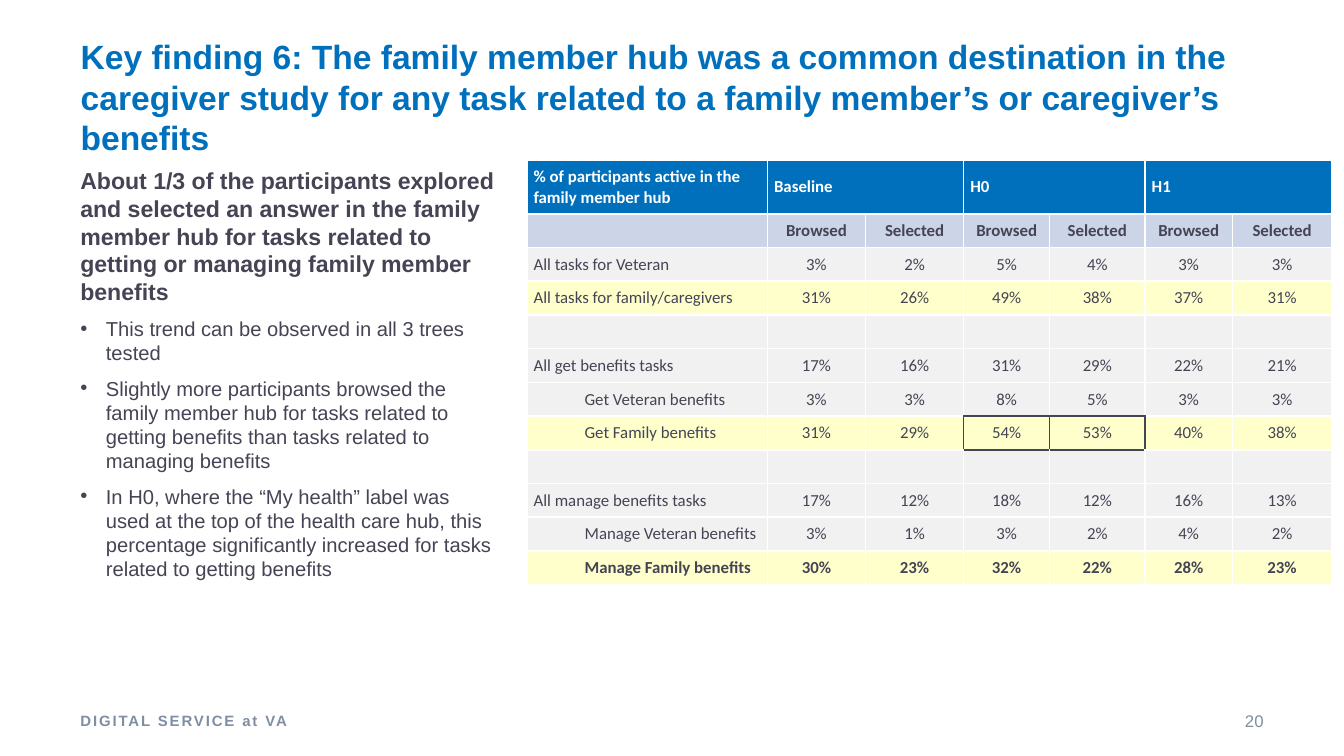
from lxml import etree
from pptx import Presentation
from pptx.dml.color import RGBColor
from pptx.enum import text
from pptx.oxml import ns
from pptx.util import Inches, Pt

BLUE = RGBColor(0x00, 0x70, 0xBC)
INK = RGBColor(0x45, 0x44, 0x54)
SLATE = RGBColor(0x7F, 0x8E, 0xA3)
WHITE = RGBColor(0xFF, 0xFF, 0xFF)
PALE_BLUE = RGBColor(0xCB, 0xD5, 0xE7)
GREY = RGBColor(0xF1, 0xF1, 0xF1)
YELLOW = RGBColor(0xFF, 0xFF, 0xCC)

TITLE = (
    "Key finding 6: The family member hub was a common destination in the "
    "caregiver study for any task related to a family member’s or caregiver’s benefits"
)
LEAD = (
    "About 1/3 of the participants explored and selected an answer in the family "
    "member hub for tasks related to getting or managing family member benefits"
)
BULLETS = [
    "This trend can be observed in all 3 trees tested",
    "Slightly more participants browsed the family member hub for tasks related to "
    "getting benefits than tasks related to managing benefits",
    "In H0, where the “My health” label was used at the top of the health care hub, "
    "this percentage significantly increased for tasks related to getting benefits",
]
BLANK = [""] * 7
ROWS = [
    ["% of participants active in the family member hub",
     "Baseline", "", "H0", "", "H1", ""],
    [""] + ["Browsed", "Selected"] * 3,
    ["All tasks for Veteran", "3%", "2%", "5%", "4%", "3%", "3%"],
    ["All tasks for family/caregivers", "31%", "26%", "49%", "38%", "37%", "31%"],
    BLANK,
    ["All get benefits tasks", "17%", "16%", "31%", "29%", "22%", "21%"],
    ["Get Veteran benefits", "3%", "3%", "8%", "5%", "3%", "3%"],
    ["Get Family benefits", "31%", "29%", "54%", "53%", "40%", "38%"],
    BLANK,
    ["All manage benefits tasks", "17%", "12%", "18%", "12%", "16%", "13%"],
    ["Manage Veteran benefits", "3%", "1%", "3%", "2%", "4%", "2%"],
    ["Manage Family benefits", "30%", "23%", "32%", "22%", "28%", "23%"],
]
COLUMN_WIDTHS = [1.79, 0.73, 0.73, 0.64, 0.71, 0.65, 0.74]
ROW_FILLS = {0: BLUE, 1: PALE_BLUE, 3: YELLOW, 7: YELLOW, 11: YELLOW}
BOLD_ROWS = {0, 1, 11}
INDENTED_ROWS = {6, 7, 10, 11}
FRAMED = {(7, 3), (7, 4)}
SIDES = {"lnL": (0, -1), "lnR": (0, 1), "lnT": (-1, 0), "lnB": (1, 0)}


def apply(target, **values):
    for name, value in values.items():
        setattr(target, name, value)


def write(para, words, size, colour, bold=False, face="Arial"):
    span = para.add_run()
    span.text = words
    apply(span.font, name=face, size=Pt(size), bold=bold)
    span.font.color.rgb = colour
    return span


def add_box(page, left, top, width, height, anchor):
    box = page.shapes.add_textbox(Inches(left), Inches(top), Inches(width), Inches(height))
    apply(box.text_frame, word_wrap=True, vertical_anchor=anchor)
    return box.text_frame


def set_title(page):
    title = page.shapes.title
    apply(title, left=Inches(0.5), top=Inches(0.22), width=Inches(9.18), height=Inches(0.69))
    apply(title.text_frame, word_wrap=True, vertical_anchor=text.MSO_ANCHOR.TOP,
          auto_size=text.MSO_AUTO_SIZE.NONE)
    para = title.text_frame.paragraphs[0]
    para.alignment = text.PP_ALIGN.LEFT
    write(para, TITLE, 18, BLUE, True)


def add_findings(page):
    frame = add_box(page, 0.5, 1.19, 3.3, 3.15, text.MSO_ANCHOR.TOP)
    lead = frame.paragraphs[0]
    lead.space_after = Pt(6)
    write(lead, LEAD, 12.4, INK, True)
    for words in BULLETS:
        para = frame.add_paragraph()
        para.space_after = Pt(6)
        properties = para._p.get_or_add_pPr()
        properties.set("marL", str(Inches(0.19)))
        properties.set("indent", str(-Inches(0.19)))
        etree.SubElement(properties, ns.qn("a:buFont"), typeface="Arial")
        etree.SubElement(properties, ns.qn("a:buChar"), char="•")
        write(para, words, 10.8, INK)


def add_footer(page):
    frame = add_box(page, 0.5, 5.21, 2.25, 0.3, text.MSO_ANCHOR.MIDDLE)
    span = write(frame.paragraphs[0], "DIGITAL SERVICE at VA", 8, SLATE, True)
    span.font._element.set("spc", "100")
    frame = add_box(page, 8.75, 5.21, 0.75, 0.3, text.MSO_ANCHOR.MIDDLE)
    frame.paragraphs[0].alignment = text.PP_ALIGN.RIGHT
    write(frame.paragraphs[0], "20", 9, SLATE)


def set_borders(cell, row, column):
    properties = cell._tc.get_or_add_tcPr()
    for side, (down, across) in SIDES.items():
        framed = FRAMED & {(row, column), (row + down, column + across)}
        line = etree.SubElement(properties, ns.qn(f"a:{side}"), w=str(Pt(1)))
        fill = etree.SubElement(line, ns.qn("a:solidFill"))
        etree.SubElement(fill, ns.qn("a:srgbClr"), val=str(INK if framed else WHITE))


def fill_cell(cell, row, column, words):
    set_borders(cell, row, column)
    cell.fill.solid()
    cell.fill.fore_color.rgb = ROW_FILLS.get(row, GREY)
    margin = Inches(0.05)
    apply(cell, margin_left=margin, margin_right=margin, margin_top=margin,
          margin_bottom=margin, vertical_anchor=text.MSO_ANCHOR.MIDDLE)
    para = cell.text_frame.paragraphs[0]
    centred = row > 0 and column > 0
    para.alignment = text.PP_ALIGN.CENTER if centred else text.PP_ALIGN.LEFT
    if column == 0 and row in INDENTED_ROWS:
        para._p.get_or_add_pPr().set("marL", str(Inches(0.38)))
    if words:
        write(para, words, 9, INK if row else WHITE, row in BOLD_ROWS, "Calibri")
    else:
        ending = etree.SubElement(para._p, ns.qn("a:endParaRPr"), sz="900")
        etree.SubElement(ending, ns.qn("a:latin"), typeface="Calibri")


def add_results(page):
    table = page.shapes.add_table(
        len(ROWS), len(COLUMN_WIDTHS),
        Inches(3.92), Inches(1.19), Inches(5.99), Inches(3.15)).table
    apply(table, first_row=False, horz_banding=False)
    for column, width in zip(table.columns, COLUMN_WIDTHS):
        column.width = Inches(width)
    for index, row in enumerate(table.rows):
        row.height = Inches(0.23 if index else 0.34)
    for row, values in enumerate(ROWS):
        for column, words in enumerate(values):
            fill_cell(table.cell(row, column), row, column, words)
    for column in (1, 3, 5):
        table.cell(0, column).merge(table.cell(0, column + 1))


def main():
    deck = Presentation()
    apply(deck, slide_width=Inches(10), slide_height=Inches(10) * 9 // 16)
    page = deck.slides.add_slide(deck.slide_layouts[5])
    set_title(page)
    add_findings(page)
    add_footer(page)
    add_results(page)
    deck.save("out.pptx")


if __name__ == "__main__":
    main()
